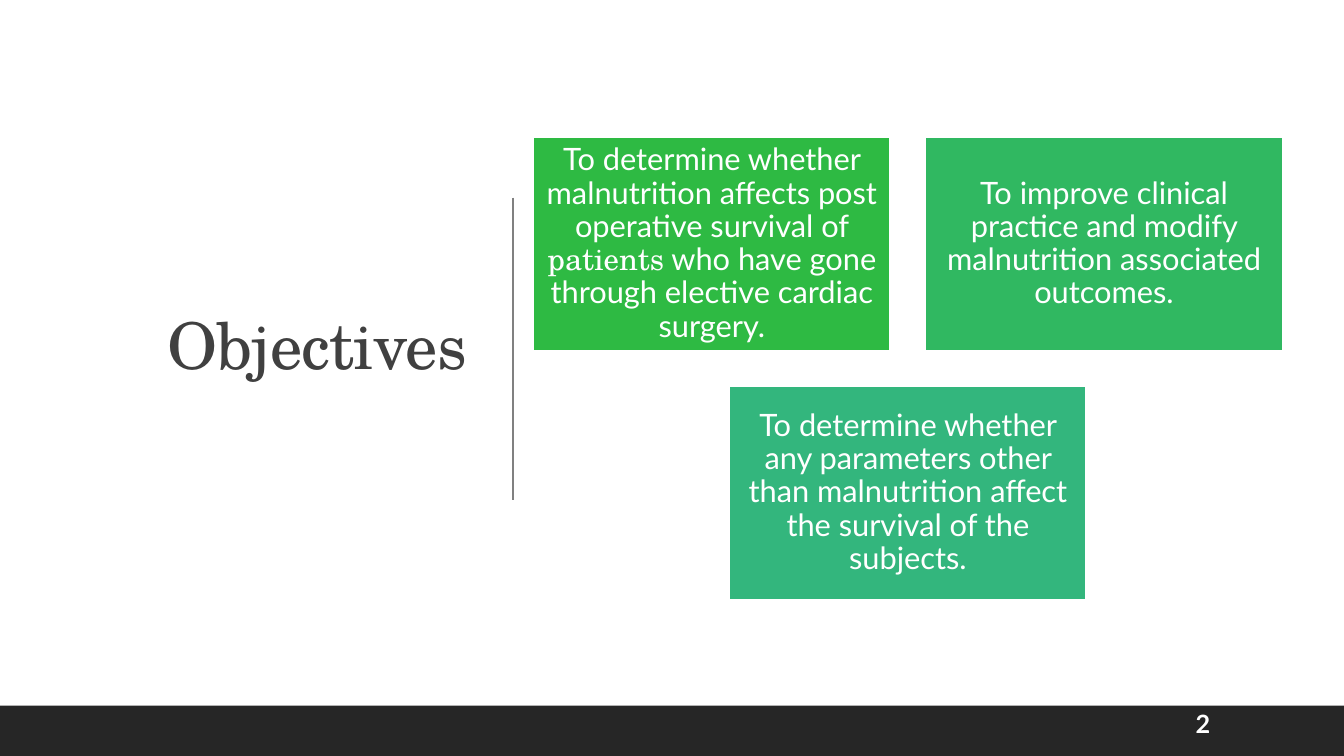
"""Build the Objectives slide: a title, a divider and three goal cards."""
from dataclasses import dataclass

from lxml.etree import SubElement
from pptx import Presentation
from pptx.dml.color import RGBColor
from pptx.enum.shapes import MSO_CONNECTOR, MSO_SHAPE
from pptx.enum.text import MSO_ANCHOR, MSO_AUTO_SIZE, PP_ALIGN
from pptx.oxml.ns import qn
from pptx.util import Inches, Pt


@dataclass
class Theme:
    """Colours, fonts and type sizes."""
    white: str = "FFFFFF"
    ink: str = "404040"
    rule: str = "808080"
    bar: str = "262626"
    greens: tuple = ("2EBA43", "30B861", "33B67D")
    serif: str = "TeX Gyre Schola"
    sans: str = "Lato"
    head: int = 46
    body: int = 22
    page: int = 18


def style(para, face, size, color, align):
    """Format a whole paragraph."""
    para.alignment = align
    para.font.name = face
    para.font.size = Pt(size)
    para.font.color.rgb = RGBColor.from_string(color)


def block(left, top, width, height, color):
    """Add a plain filled rectangle."""
    shape = slide.shapes.add_shape(
        MSO_SHAPE.RECTANGLE, Inches(left), Inches(top), Inches(width), Inches(height))
    shape.shadow.inherit = False
    shape.fill.solid()
    shape.fill.fore_color.rgb = RGBColor.from_string(color)
    shape.line.fill.background()
    return shape


theme = Theme()
deck = Presentation()
deck.slide_width = Inches(13.33)
deck.slide_height = Inches(7.5)
slide = deck.slides.add_slide(deck.slide_layouts[5])
slide.background.fill.solid()
slide.background.fill.fore_color.rgb = RGBColor.from_string(theme.white)

title = slide.shapes.title
title.left, title.top = Inches(0.7), Inches(0.69)
title.width, title.height = Inches(4.03), Inches(5.53)
frame = title.text_frame
frame.text = "Objectives"
frame.auto_size = MSO_AUTO_SIZE.NONE
frame.vertical_anchor = MSO_ANCHOR.MIDDLE
para = frame.paragraphs[0]
para.line_spacing = 0.9
style(para, theme.serif, theme.head, theme.ink, PP_ALIGN.RIGHT)
para.runs[0]._r.get_or_add_rPr().set("spc", "-50")

rule = slide.shapes.add_connector(
    MSO_CONNECTOR.STRAIGHT, Inches(5.09), Inches(1.96), Inches(5.09), Inches(4.96))
rule.line.color.rgb = RGBColor.from_string(theme.rule)
rule.line.width = Pt(1)
SubElement(rule._element.spPr, qn("a:effectLst"))

block(0, 7, 13.33, 0.5, theme.bar)

goals = [
    [("To determine whether malnutrition affects post operative survival of ", None),
     ("patients", theme.serif),
     (" who have gone through elective cardiac surgery.", None)],
    [("To improve clinical practice and modify malnutrition associated outcomes.", None)],
    [("To determine whether any parameters other than malnutrition affect "
      "the survival of the subjects.", None)],
]
wide, high, gap = 3.54, 2.12, 0.35
left, top = 5.29, 1.36
cells = [(0, 0), (1, 0), (0.5, 1)]
for goal, (col, row), green in zip(goals, cells, theme.greens):
    card = block(left + col * (wide + gap), top + row * (high + gap), wide, high, green)
    card.line.color.rgb = RGBColor.from_string(theme.white)
    card.line.width = Pt(1.25)
    frame = card.text_frame
    frame.word_wrap = True
    frame.vertical_anchor = MSO_ANCHOR.MIDDLE
    frame.margin_left = frame.margin_right = Inches(0.09)
    frame.margin_top = frame.margin_bottom = Inches(0.09)
    para = frame.paragraphs[0]
    para.line_spacing = 0.9
    style(para, theme.sans, theme.body, theme.white, PP_ALIGN.CENTER)
    for text, face in goal:
        run = para.add_run()
        run.text = text
        if face:
            run.font.name = face

page = slide.shapes.add_textbox(Inches(11.76), Inches(6.9), Inches(1.11), Inches(0.55))
frame = page.text_frame
frame.word_wrap = True
frame.vertical_anchor = MSO_ANCHOR.MIDDLE
para = frame.paragraphs[0]
para.text = "2"
style(para, theme.sans, theme.page, theme.white, PP_ALIGN.LEFT)
para.font.bold = True

deck.save("out.pptx")
